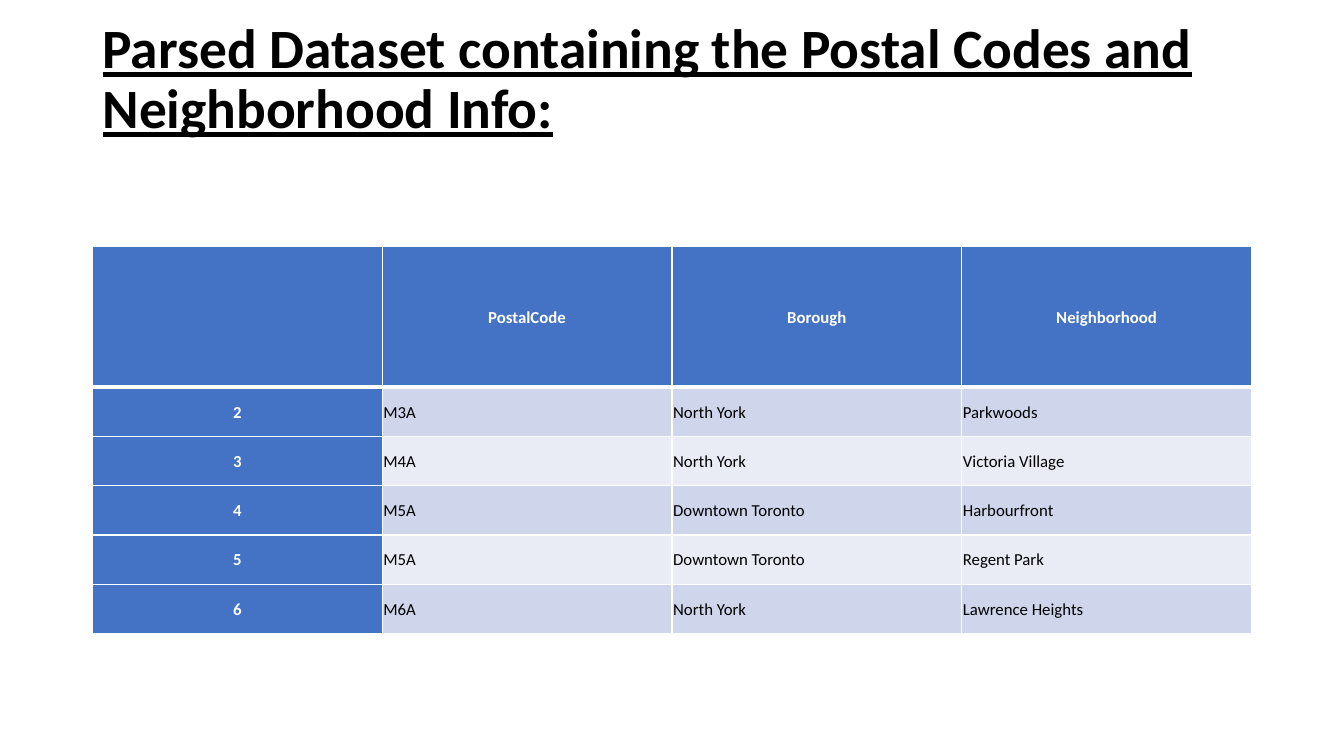
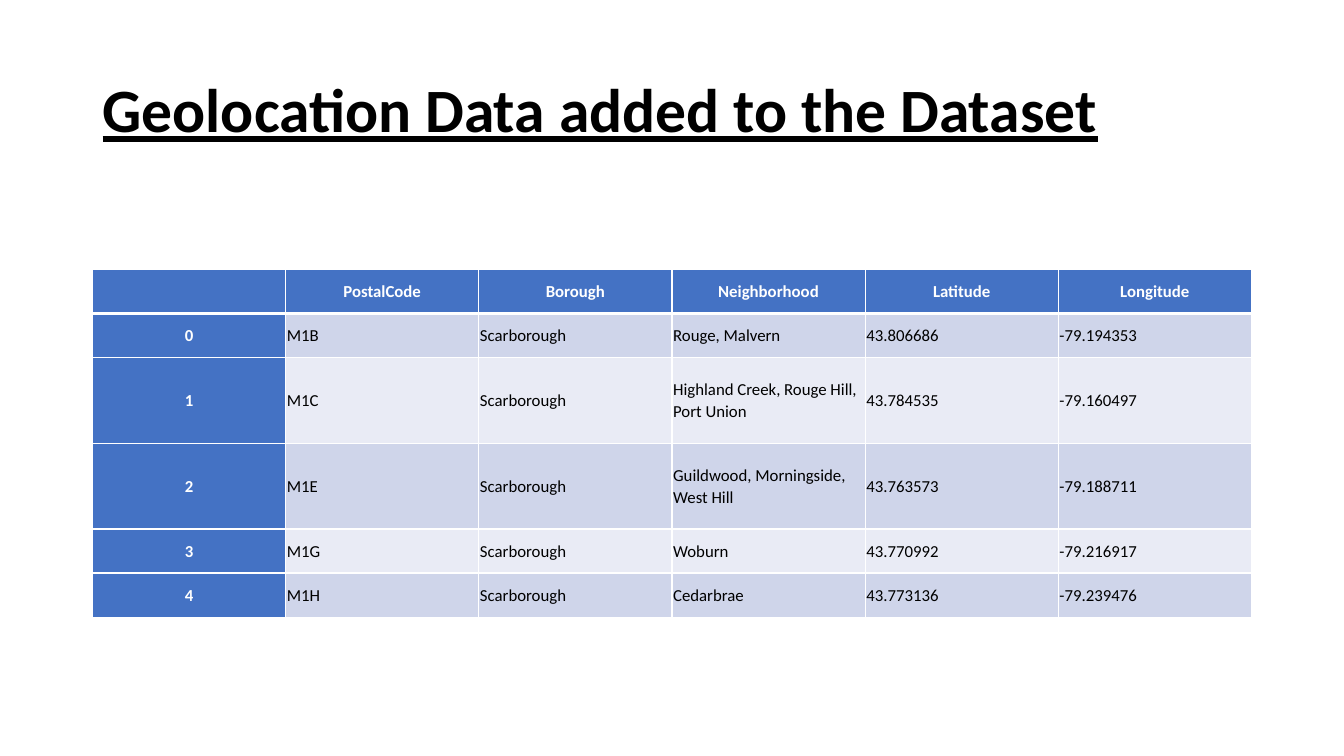
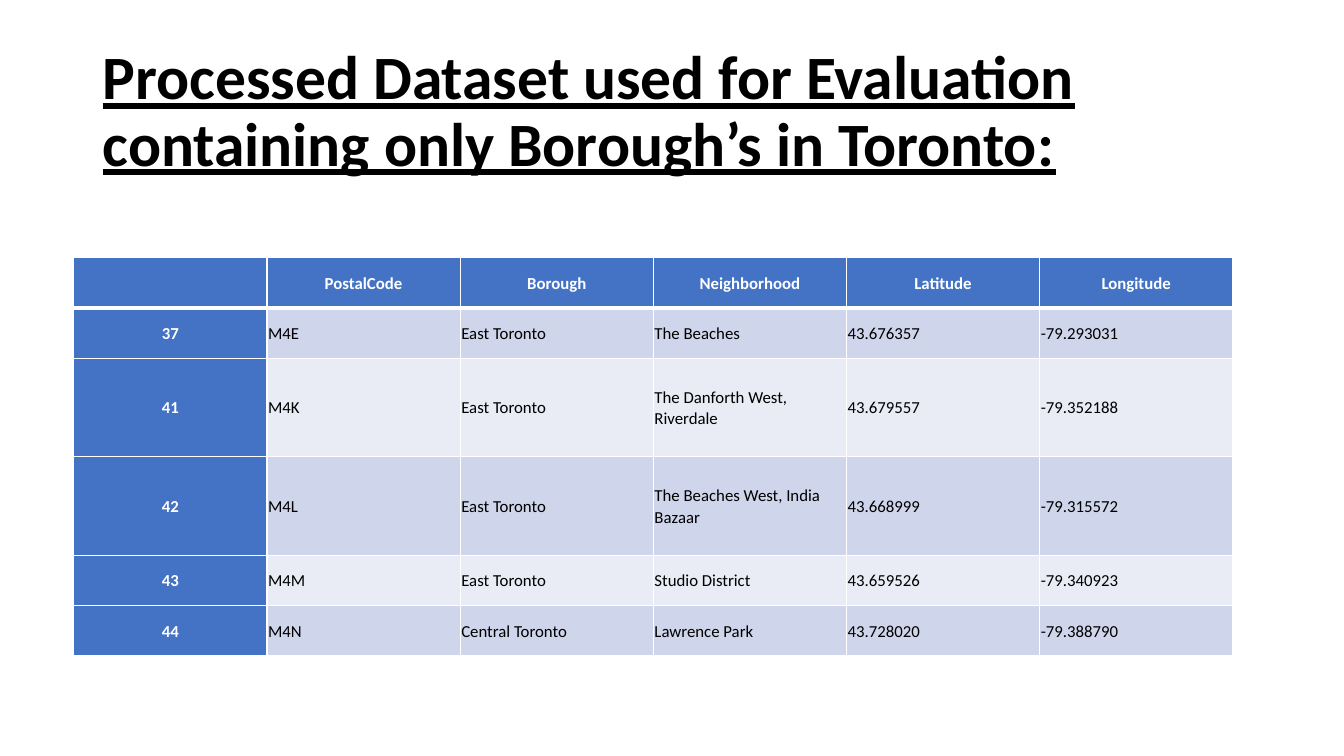
"""Build three slides of postal code tables."""
from lxml import etree
from pptx import Presentation
from pptx.dml.color import RGBColor
from pptx.enum.text import MSO_ANCHOR, MSO_AUTO_SIZE, PP_ALIGN
from pptx.oxml.ns import qn
from pptx.util import Cm, Pt

MIDDLE = MSO_ANCHOR.MIDDLE
LEFT = PP_ALIGN.LEFT
CENTER = PP_ALIGN.CENTER
NO_FIT = MSO_AUTO_SIZE.NONE
FONT = "Calibri"
COLORS = {
    "ink": "000000",
    "white": "FFFFFF",
    "head": "4472C4",
    "dark": "CFD5EA",
    "light": "E9EBF5",
}
WIDTH = 29.21
INSET = 0.03
SHORT_HEAD = ["", "PostalCode", "Borough", "Neighborhood"]
LONG_HEAD = SHORT_HEAD + ["Latitude", "Longitude"]

CODES = [
    SHORT_HEAD,
    ["2", "M3A", "North York", "Parkwoods"],
    ["3", "M4A", "North York", "Victoria Village"],
    ["4", "M5A", "Downtown Toronto", "Harbourfront"],
    ["5", "M5A", "Downtown Toronto", "Regent Park"],
    ["6", "M6A", "North York", "Lawrence Heights"],
]
PLACES = [
    LONG_HEAD,
    ["0", "M1B", "Scarborough", "Rouge, Malvern", "43.806686", "-79.194353"],
    ["1", "M1C", "Scarborough", "Highland Creek, Rouge Hill, Port Union",
     "43.784535", "-79.160497"],
    ["2", "M1E", "Scarborough", "Guildwood, Morningside, West Hill",
     "43.763573", "-79.188711"],
    ["3", "M1G", "Scarborough", "Woburn", "43.770992", "-79.216917"],
    ["4", "M1H", "Scarborough", "Cedarbrae", "43.773136", "-79.239476"],
]
CITY = [
    LONG_HEAD,
    ["37", "M4E", "East Toronto", "The Beaches", "43.676357", "-79.293031"],
    ["41", "M4K", "East Toronto", "The Danforth West, Riverdale",
     "43.679557", "-79.352188"],
    ["42", "M4L", "East Toronto", "The Beaches West, India Bazaar",
     "43.668999", "-79.315572"],
    ["43", "M4M", "East Toronto", "Studio District", "43.659526", "-79.340923"],
    ["44", "M4N", "Central Toronto", "Lawrence Park", "43.728020", "-79.388790"],
]


def color(name):
    """Return a named colour."""
    return RGBColor.from_string(COLORS[name])


def style(para, size, ink, bold, align, space):
    """Format a paragraph and its runs."""
    para.alignment = align
    para.line_spacing = space
    for run in para.runs:
        font = run.font
        font.name, font.size, font.bold = FONT, Pt(size), bold
        font.color.rgb = color(ink)


def add_title(slide, text, size, foot):
    """Fill and place the title, with a bottom inset."""
    title = slide.shapes.title
    title.left, title.top = Cm(2.33), Cm(1.01)
    title.width, title.height = Cm(WIDTH), Cm(3.68)
    frame = title.text_frame
    frame.text = text
    frame.word_wrap = True
    frame.auto_size = NO_FIT
    frame.vertical_anchor = MIDDLE
    frame.margin_bottom = Cm(foot)
    para = frame.paragraphs[0]
    style(para, size, "ink", True, LEFT, 0.9)
    para.runs[0].font.underline = True


def add_edge(cell, side, width):
    """Draw one white border of a cell."""
    props = cell._tc.get_or_add_tcPr()
    line = etree.SubElement(props, qn(f"a:ln{side}"), w=str(Pt(width)))
    fill = etree.SubElement(line, qn("a:solidFill"))
    etree.SubElement(fill, qn("a:srgbClr"), val=COLORS["white"])


def set_cell(cell, text, row, col):
    """Write a cell and style it by its place."""
    head = row == 0 or col == 0
    cell.text = text
    cell.vertical_anchor = MIDDLE
    cell.margin_left = cell.margin_right = Cm(INSET)
    cell.margin_top = cell.margin_bottom = Cm(INSET)
    for side in "LRTB":
        thick = (row, side) in ((0, "B"), (1, "T"))
        add_edge(cell, side, 3 if thick else 1)
    band = "dark" if row % 2 else "light"
    cell.fill.solid()
    cell.fill.fore_color.rgb = color("head" if head else band)
    style(cell.text_frame.paragraphs[0], 12, "white" if head else "ink",
          head, CENTER if head else LEFT, 1.07)


def add_grid(slide, data, left, top, heights):
    """Add a table with equal columns."""
    count = len(data[0])
    frame = slide.shapes.add_table(len(data), count, Cm(left), Cm(top),
                                   Cm(WIDTH), Cm(sum(heights)))
    table = frame.table
    for col in table.columns:
        col.width = Cm(WIDTH / count)
    for row, (texts, height) in enumerate(zip(data, heights)):
        table.rows[row].height = Cm(height)
        for col, text in enumerate(texts):
            set_cell(table.cell(row, col), text, row, col)


def main():
    """Build and save the deck."""
    deck = Presentation()
    deck.slide_width, deck.slide_height = Cm(33.87), Cm(19.05)
    pages = [
        ("Parsed Dataset containing the Postal Codes and Neighborhood Info:",
         39.6, 1.75, CODES, 2.33, 6.2, [3.56] + [1.24] * 5),
        ("Geolocation Data added to the Dataset",
         44, 0.13, PLACES, 2.33, 6.79, [1.11, 1.11, 2.16, 2.16, 1.11, 1.11]),
        ("Processed Dataset used for Evaluation containing only "
         "Borough’s in Toronto:",
         44, 0.13, CITY, 1.86, 6.49, [1.27, 1.27, 2.48, 2.48, 1.27, 1.27]),
    ]
    for text, size, foot, data, left, top, heights in pages:
        slide = deck.slides.add_slide(deck.slide_layouts[5])
        add_title(slide, text, size, foot)
        add_grid(slide, data, left, top, heights)
    deck.save("out.pptx")


if __name__ == "__main__":
    main()
